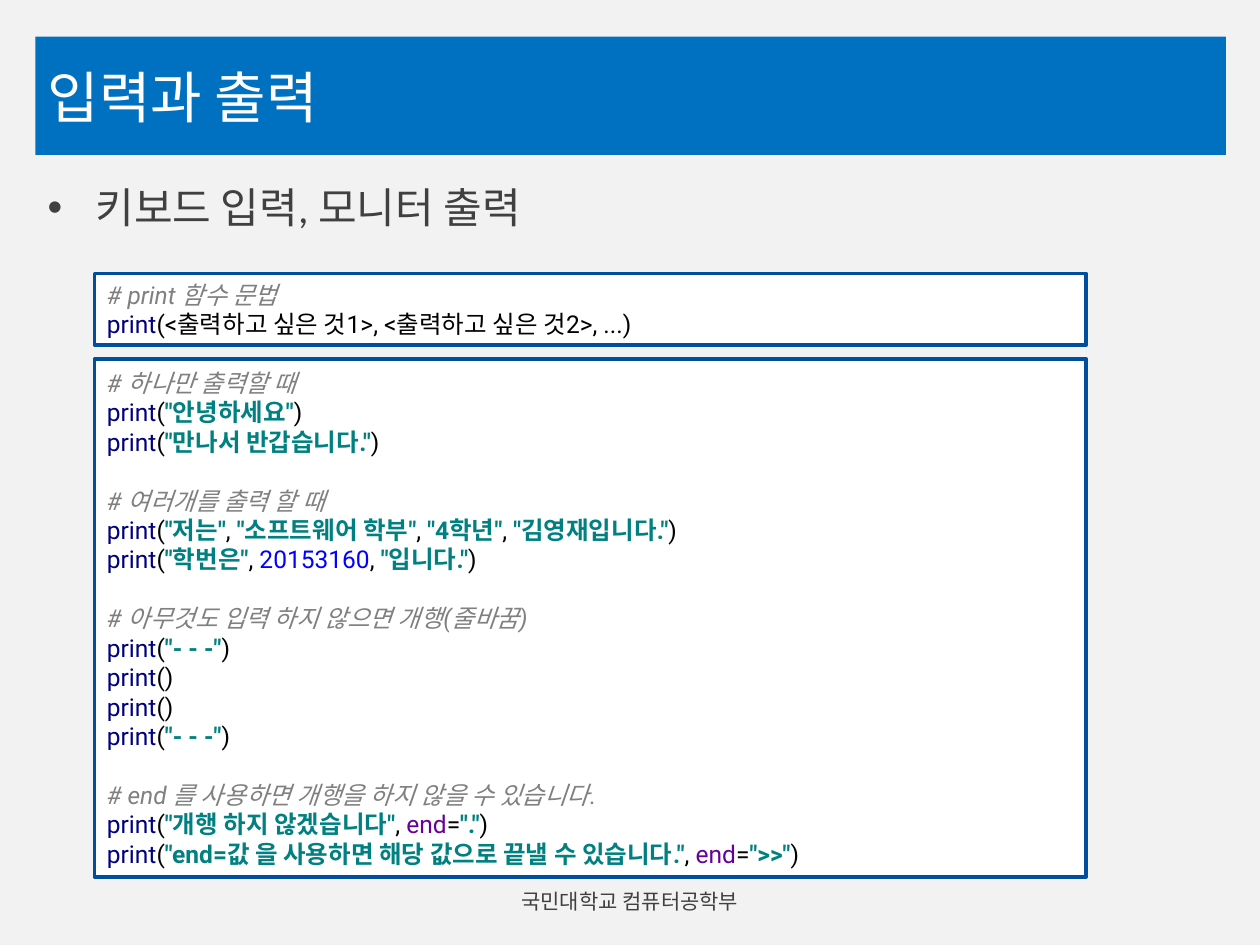
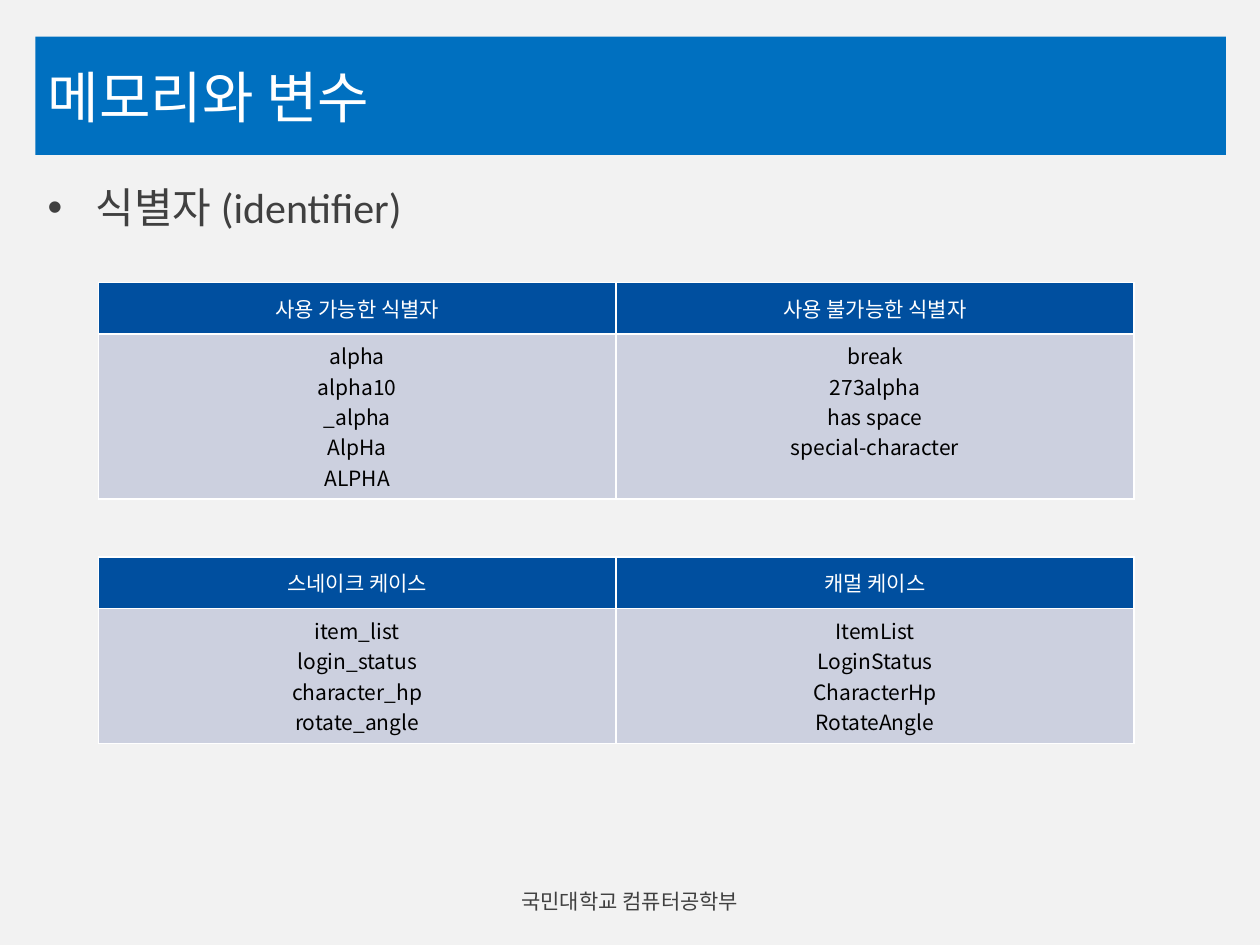
"""Builds two Python lecture slides on output and identifiers."""
from lxml import etree
from pptx import Presentation
from pptx.dml.color import RGBColor
from pptx.enum.shapes import MSO_SHAPE
from pptx.enum.text import MSO_ANCHOR, PP_ALIGN
from pptx.oxml.ns import qn
from pptx.util import Inches, Pt

RECTANGLE = MSO_SHAPE.RECTANGLE
LEFT, CENTER = PP_ALIGN.LEFT, PP_ALIGN.CENTER
TOP, MIDDLE = MSO_ANCHOR.TOP, MSO_ANCHOR.MIDDLE

WIDTH, HEIGHT = Inches(10), Inches(7.5)
COLUMNS, ROWS = 100, 75
TITLE_BAND = (2.8, 2.9, 94.5, 9.4)
TOPIC_AREA = (2.8, 13.9, 94.5, 52.8)
FOOTER_AREA = (31.1, 69.5, 37.8, 4)

WHITE, BLACK, GRAY = "FFFFFF", "000000", "404040"
BACKDROP, BAND, NAVY, PALE = "F2F2F2", "0070C0", "004F9F", "CCD0DF"
SYNTAX = {"comment": "808080", "builtin": "000080", "plain": BLACK,
          "string": "008080", "number": "0000FF", "keyword": "660099"}
HEAD_FONT, TOPIC_FONT = "Karla", "Calibri"
CODE_FONT, TABLE_FONT = "Roboto", "Noto Sans CJK KR"
CODE_PITCH = Pt(16.8)
FOOTER = "국민대학교 컴퓨터공학부"


def color(value):
    return RGBColor.from_string(value)


def comment(text):
    return [("comment", "# " + text)]


def value_span(value):
    return ("string", f'"{value}"') if isinstance(value, str) else ("number", str(value))


def print_call(*values, end=None):
    spans = [("builtin", "print"), ("plain", "(")]
    for index, value in enumerate(values):
        if index:
            spans.append(("plain", ", "))
        spans.append(value_span(value))
    if end:
        spans += [("plain", ", "), ("keyword", "end"), ("plain", "="), value_span(end)]
    return spans + [("plain", ")")]


class Lecture:
    """Holds the deck, its style and the current page."""

    def __init__(self):
        self.deck = Presentation()
        self.deck.slide_width, self.deck.slide_height = WIDTH, HEIGHT
        self.page = None

    def place(self, left, top, width, height):
        column, row = WIDTH / COLUMNS, HEIGHT / ROWS
        return [round(size) for size in
                (left * column, top * row, width * column, height * row)]

    def span(self, para, text, size, font, ink, bold=False, italic=False):
        span = para.add_run()
        span.text = text
        span.font.size, span.font.name = Pt(size), font
        span.font.bold, span.font.italic = bold, italic
        span.font.color.rgb = color(ink)

    def rectangle(self, area, fill, line=None):
        box = self.page.shapes.add_shape(RECTANGLE, *self.place(*area))
        box.shadow.inherit = False
        box.fill.solid()
        box.fill.fore_color.rgb = color(fill)
        if line:
            box.line.color.rgb = color(line)
            box.line.width = Pt(2)
        else:
            box.line.fill.background()
        frame = box.text_frame
        frame.word_wrap = True
        frame.vertical_anchor = MIDDLE
        frame.paragraphs[0].alignment = LEFT
        return frame

    def text(self, area, text, size, font, align=LEFT, anchor=TOP):
        frame = self.page.shapes.add_textbox(*self.place(*area)).text_frame
        frame.word_wrap = True
        frame.vertical_anchor = anchor
        para = frame.paragraphs[0]
        para.alignment = align
        self.span(para, text, size, font, GRAY)
        return para

    def new_page(self, title, topic):
        self.page = self.deck.slides.add_slide(self.deck.slide_layouts[6])
        backdrop = self.page.background.fill
        backdrop.solid()
        backdrop.fore_color.rgb = color(BACKDROP)
        heading = self.rectangle(TITLE_BAND, BAND).paragraphs[0]
        self.span(heading, title, 32, HEAD_FONT, WHITE)
        self.bullet(self.text(TOPIC_AREA, topic, 24, TOPIC_FONT))
        self.text(FOOTER_AREA, FOOTER, 12, HEAD_FONT, CENTER, MIDDLE)

    def bullet(self, para):
        properties = para._p.get_or_add_pPr()
        indent = Inches(0.38)
        properties.set("marL", str(indent))
        properties.set("indent", str(-indent))
        etree.SubElement(properties, qn("a:buFont")).set("typeface", "Arial")
        etree.SubElement(properties, qn("a:buChar")).set("char", "•")

    def code(self, top, height, blocks):
        frame = self.rectangle((7.5, top, 78.7, height), WHITE, NAVY)
        para = frame.paragraphs[0]
        for block_index, block in enumerate(blocks):
            for line_index, line in enumerate(block):
                if block_index or line_index:
                    para = frame.add_paragraph()
                if block_index and not line_index:
                    para.space_before = CODE_PITCH
                para.alignment = LEFT
                para.line_spacing = CODE_PITCH
                for kind, text in line:
                    self.span(para, text, 14, CODE_FONT, SYNTAX[kind],
                              kind == "string", kind == "comment")

    def cell(self, cell, lines, fill, ink, anchor):
        cell.fill.solid()
        cell.fill.fore_color.rgb = color(fill)
        cell.vertical_anchor = anchor
        for index, line in enumerate(lines):
            frame = cell.text_frame
            para = frame.add_paragraph() if index else frame.paragraphs[0]
            para.alignment = CENTER
            self.span(para, line, 12, TABLE_FONT, ink)
        properties = cell._tc.get_or_add_tcPr()
        for index, side in enumerate(("lnL", "lnR", "lnT", "lnB")):
            border = etree.Element(qn("a:" + side), w=str(Pt(1)))
            paint = etree.SubElement(border, qn("a:solidFill"))
            etree.SubElement(paint, qn("a:srgbClr")).set("val", WHITE)
            properties.insert(index, border)

    def table(self, top, body_height, content):
        heights = (4.1, body_height)
        area = self.place(7.8, top, 82.2, sum(heights))
        table = self.page.shapes.add_table(2, len(content), *area).table
        for row, height in zip(table.rows, heights):
            row.height = round(height * HEIGHT / ROWS)
        for column, (heading, names) in enumerate(content.items()):
            self.cell(table.cell(0, column), [heading], NAVY, WHITE, MIDDLE)
            self.cell(table.cell(1, column), names, PALE, BLACK, TOP)


def main():
    lecture = Lecture()

    lecture.new_page("입력과 출력", "키보드 입력, 모니터 출력")
    lecture.code(21.7, 5.7, [[
        comment("print 함수 문법"),
        [("builtin", "print"),
         ("plain", "(<출력하고 싶은 것1>, <출력하고 싶은 것2>, ...)")],
    ]])
    lecture.code(28.5, 41.1, [
        [comment("하나만 출력할 때"),
         print_call("안녕하세요"),
         print_call("만나서 반갑습니다.")],
        [comment("여러개를 출력 할 때"),
         print_call("저는", "소프트웨어 학부", "4학년", "김영재입니다."),
         print_call("학번은", 20153160, "입니다.")],
        [comment("아무것도 입력 하지 않으면 개행(줄바꿈)"),
         print_call("- - -"),
         print_call(),
         print_call(),
         print_call("- - -")],
        [comment("end 를 사용하면 개행을 하지 않을 수 있습니다."),
         print_call("개행 하지 않겠습니다", end="."),
         print_call("end=값 을 사용하면 해당 값으로 끝낼 수 있습니다.", end=">>")],
    ])

    lecture.new_page("메모리와 변수", "식별자 (identifier)")
    lecture.table(22.4, 13.1, {
        "사용 가능한 식별자": ["alpha", "alpha10", "_alpha", "AlpHa", "ALPHA"],
        "사용 불가능한 식별자": ["break", "273alpha", "has space", "special-character"],
    })
    lecture.table(44.2, 10.7, {
        "스네이크 케이스": ["item_list", "login_status", "character_hp", "rotate_angle"],
        "캐멀 케이스": ["ItemList", "LoginStatus", "CharacterHp", "RotateAngle"],
    })

    lecture.deck.save("out.pptx")


if __name__ == "__main__":
    main()
